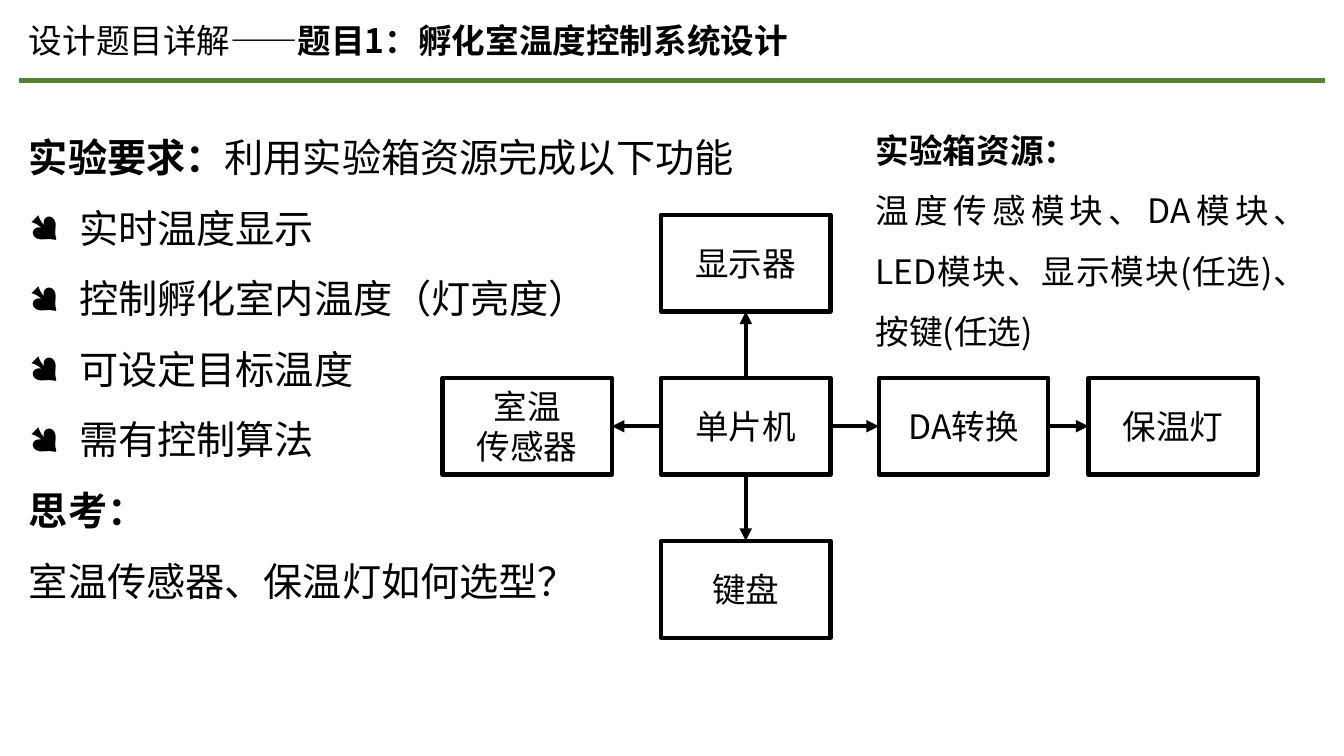
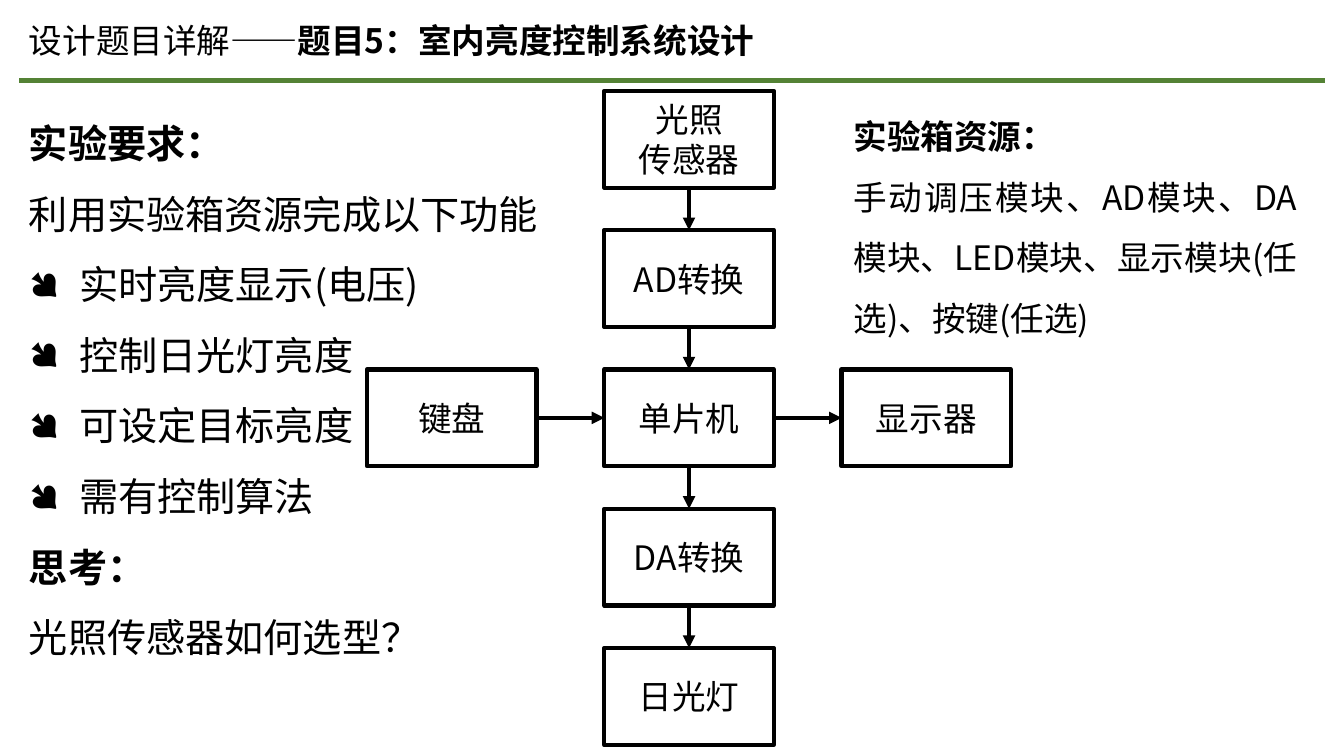
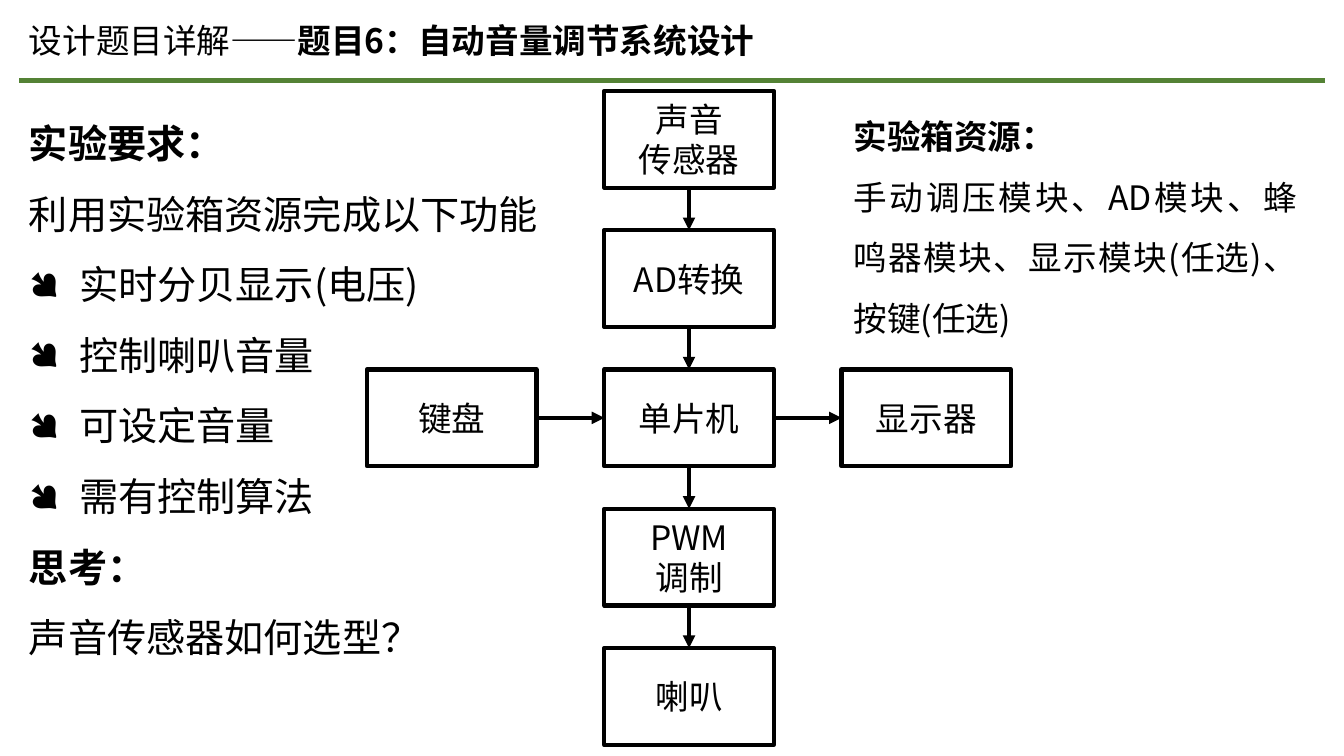
from dataclasses import dataclass, field

from lxml.etree import SubElement
from pptx import Presentation
from pptx.dml.color import RGBColor
from pptx.enum.shapes import MSO_CONNECTOR, MSO_SHAPE
from pptx.enum.text import MSO_ANCHOR, MSO_AUTO_SIZE, PP_ALIGN
from pptx.oxml.ns import qn
from pptx.util import Cm, Pt

TOP, LEFT, BOTTOM, RIGHT = range(4)


@dataclass(frozen=True)
class Theme:
    font: str = "Noto Sans CJK SC"
    ink: RGBColor = RGBColor(0x00, 0x00, 0x00)
    rule: RGBColor = RGBColor(0x54, 0x82, 0x35)
    body: int = 28
    small: int = 24
    line: float = 3
    spacing: float = 1.5


@dataclass(frozen=True)
class Run:
    text: str
    bold: bool = False


@dataclass(frozen=True)
class Para:
    runs: tuple[Run, ...]
    bullet: bool = False


@dataclass(frozen=True)
class Frame:
    """Left, top, width and height in centimetres."""
    x: float
    y: float
    w: float
    h: float

    def emu(self) -> tuple[Cm, ...]:
        return Cm(self.x), Cm(self.y), Cm(self.w), Cm(self.h)


@dataclass(frozen=True)
class Grid:
    """Left edges of the columns and top edges of the rows, in centimetres."""
    cols: tuple[float, ...]
    rows: tuple[float, ...]
    box_w: float = 4.27
    box_h: float = 2.44


@dataclass(frozen=True)
class Topic:
    title: str
    intro: list[Para]
    goals: list[str]
    question: str
    resources: str
    body_at: Frame
    resources_at: Frame
    grid: Grid
    boxes: dict[str, tuple[int, int]]  # label -> (column, row)
    links: list[tuple[str, str]] = field(default_factory=list)


THEME = Theme()
MCU = "单片机"


def plain(text: str, bullet: bool = False) -> Para:
    return Para((Run(text),), bullet)


def heading(text: str) -> Para:
    return Para((Run(text, True),))


def add_run(p, run: Run, size: int) -> None:
    r = p.add_run()
    r.text = run.text
    for name, value in {"name": THEME.font, "size": Pt(size), "bold": run.bold}.items():
        setattr(r.font, name, value)
    r.font.color.rgb = THEME.ink
    rPr = r.font._element
    rPr.set("lang", "zh-CN")
    SubElement(rPr, qn("a:ea")).set("typeface", THEME.font)


def add_bullet(p) -> None:
    pPr = p._p.get_or_add_pPr()
    pPr.set("marL", str(Cm(1.27)))
    pPr.set("indent", str(-Cm(1.27)))
    SubElement(pPr, qn("a:buFont")).set("typeface", "Wingdings")
    SubElement(pPr, qn("a:buChar")).set("char", "●")


def write(tf, paras: list[Para], size: int, **fmt) -> None:
    for i, para in enumerate(paras):
        p = tf.paragraphs[0] if i == 0 else tf.add_paragraph()
        if para.bullet:
            add_bullet(p)
        for name, value in fmt.items():
            setattr(p, name, value)
        for run in para.runs:
            add_run(p, run, size)


def add_text(s, at: Frame, paras: list[Para], size: int, **fmt):
    tf = s.shapes.add_textbox(*at.emu()).text_frame
    tf.word_wrap = True
    write(tf, paras, size, **fmt)
    return tf


def add_prose(s, at: Frame, paras: list[Para], size: int) -> None:
    """Justified, widely spaced text in a box that grows with it."""
    tf = add_text(s, at, paras, size, alignment=PP_ALIGN.JUSTIFY,
                  line_spacing=THEME.spacing)
    tf.auto_size = MSO_AUTO_SIZE.SHAPE_TO_FIT_TEXT


def add_line(s, color: RGBColor, x1: float = 0, y1: float = 0, x2: float = 0, y2: float = 0):
    line = s.shapes.add_connector(MSO_CONNECTOR.STRAIGHT, Cm(x1), Cm(y1), Cm(x2), Cm(y2))
    line.line.color.rgb = color
    line.line.width = Pt(THEME.line)
    SubElement(line._element.spPr, qn("a:effectLst"))
    return line


def add_header(s, title: str) -> None:
    add_line(s, THEME.rule, 0.48, 2.03, 33.38, 2.03)
    runs = (Run("设计题目详解——"), Run(title, True))
    tf = add_text(s, Frame(0.48, 0.36, 24.54, 1.3), [Para(runs)], THEME.small,
                  line_spacing=0.9)
    tf.vertical_anchor = MSO_ANCHOR.BOTTOM


def add_box(s, label: str, at: Frame):
    box = s.shapes.add_shape(MSO_SHAPE.RECTANGLE, *at.emu())
    box.shadow.inherit = False
    box.fill.background()
    box.line.color.rgb = THEME.ink
    box.line.width = Pt(THEME.line)
    tf = box.text_frame
    tf.vertical_anchor = MSO_ANCHOR.MIDDLE
    write(tf, [plain(t) for t in label.split("\n")], THEME.small,
          alignment=PP_ALIGN.CENTER)
    return box


def facing_sides(start: tuple[int, int], end: tuple[int, int]) -> tuple[int, int]:
    (c1, r1), (c2, r2) = start, end
    if r1 == r2:
        return (RIGHT, LEFT) if c1 < c2 else (LEFT, RIGHT)
    return (BOTTOM, TOP) if r1 < r2 else (TOP, BOTTOM)


def add_diagram(s, topic: Topic) -> None:
    g = topic.grid
    shapes = {label: add_box(s, label, Frame(g.cols[c], g.rows[r], g.box_w, g.box_h))
              for label, (c, r) in topic.boxes.items()}
    for start, end in topic.links:
        out_side, in_side = facing_sides(topic.boxes[start], topic.boxes[end])
        arrow = add_line(s, THEME.ink)
        arrow.begin_connect(shapes[start], out_side)
        arrow.end_connect(shapes[end], in_side)
        SubElement(arrow.line._get_or_add_ln(), qn("a:tailEnd")).set("type", "triangle")


def add_topic(prs, topic: Topic) -> None:
    s = prs.slides.add_slide(prs.slide_layouts[6])
    goals = [plain(goal, bullet=True) for goal in topic.goals + ["需有控制算法"]]
    body = [*topic.intro, *goals, heading("思考："), plain(topic.question)]
    add_prose(s, topic.body_at, body, THEME.body)
    add_header(s, topic.title)
    add_diagram(s, topic)
    add_prose(s, topic.resources_at, [heading("实验箱资源："), plain(topic.resources)],
              THEME.small)


def chain_topic(title: str, goals: list[str], question: str, resources: str,
                body_width: float, sensor: str, driver: str, load: str) -> Topic:
    """A topic whose diagram runs down from sensor to load, crossed by keyboard and display."""
    column = [sensor, "AD转换", MCU, driver, load]
    return Topic(
        title, [heading("实验要求："), plain("利用实验箱资源完成以下功能")],
        goals, question, resources,
        Frame(0.48, 2.29, body_width, 14.63), Frame(21.26, 2.29, 11.68, 6.4),
        Grid(tuple(9.25 + 5.98 * i for i in range(3)),
             tuple(2.29 + 3.51 * i for i in range(5))),
        {**{label: (1, row) for row, label in enumerate(column)},
         "键盘": (0, 2), "显示器": (2, 2)},
        [*zip(column, column[1:]), ("键盘", MCU), (MCU, "显示器")])


TOPICS = [
    Topic(
        "题目1：孵化室温度控制系统设计",
        [Para((Run("实验要求：", True), Run("利用实验箱资源完成以下功能")))],
        ["实时温度显示", "控制孵化室内温度（灯亮度）", "可设定目标温度"],
        "室温传感器、保温灯如何选型？",
        "温度传感模块、DA模块、LED模块、显示模块(任选)、按键(任选)",
        Frame(0.48, 2.64, 19.1, 12.83), Frame(21.82, 2.64, 11.38, 6.4),
        Grid((11.15, 16.66, 22.15, 27.43), tuple(5.41 + 4.11 * i for i in range(3))),
        {"室温\n传感器": (0, 1), MCU: (1, 1), "保温灯": (3, 1),
         "显示器": (1, 0), "键盘": (1, 2), "DA转换": (2, 1)},
        [(MCU, "显示器"), (MCU, "DA转换"), ("DA转换", "保温灯"),
         (MCU, "室温\n传感器"), (MCU, "键盘")]),
    chain_topic(
        "题目5：室内亮度控制系统设计",
        ["实时亮度显示(电压)", "控制日光灯亮度", "可设定目标亮度"],
        "光照传感器如何选型？",
        "手动调压模块、AD模块、DA模块、LED模块、显示模块(任选)、按键(任选)",
        13.67, "光照\n传感器", "DA转换", "日光灯"),
    chain_topic(
        "题目6：自动音量调节系统设计",
        ["实时分贝显示(电压)", "控制喇叭音量", "可设定音量"],
        "声音传感器如何选型？",
        "手动调压模块、AD模块、蜂鸣器模块、显示模块(任选)、按键(任选)",
        19.1, "声音\n传感器", "PWM\n调制", "喇叭"),
]


def main() -> None:
    prs = Presentation()
    prs.slide_width, prs.slide_height = Cm(33.87), Cm(19.05)
    for topic in TOPICS:
        add_topic(prs, topic)
    prs.save("out.pptx")


if __name__ == "__main__":
    main()
